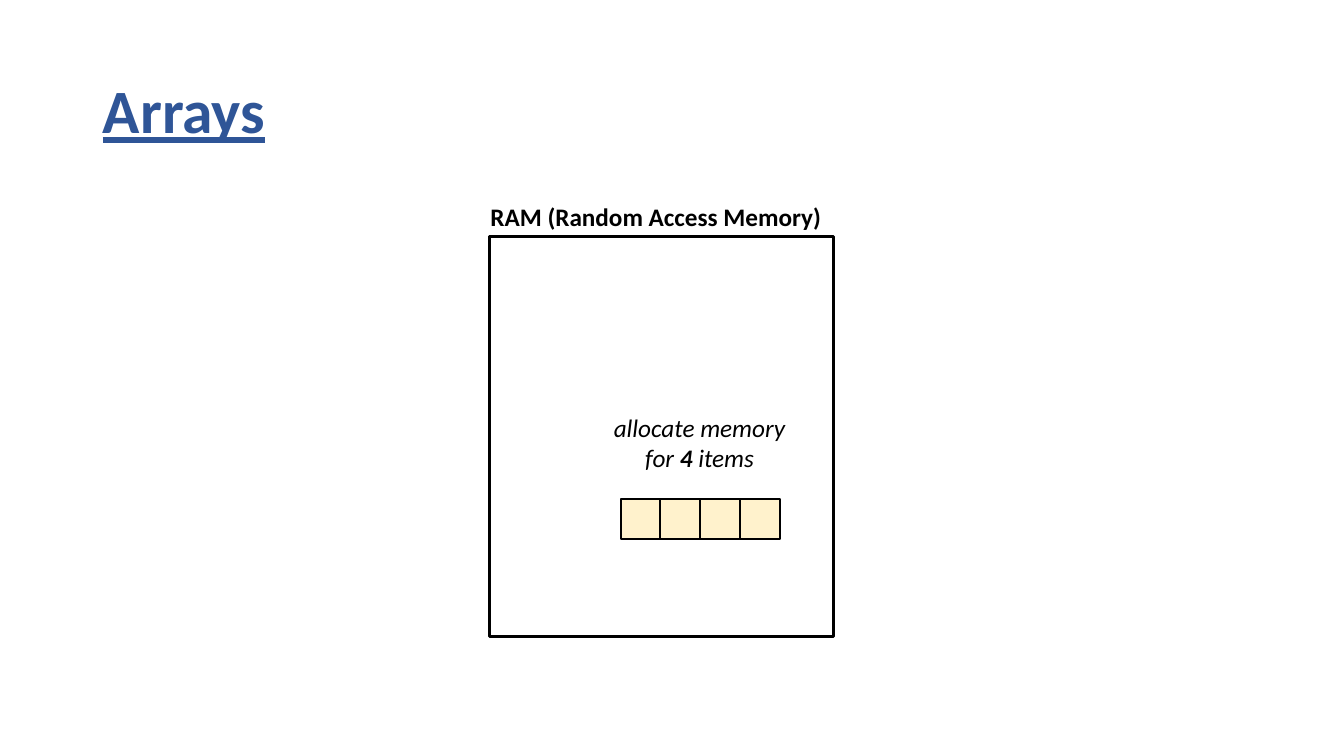
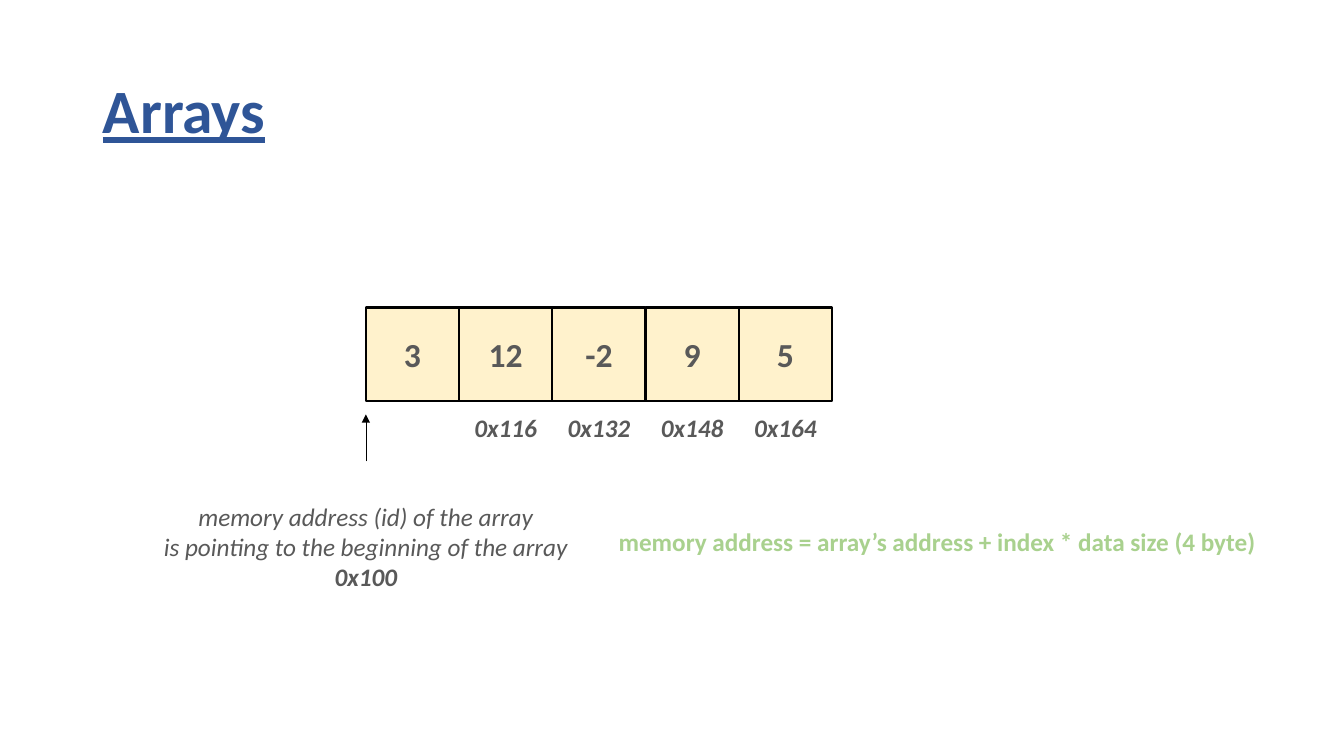
from lxml.etree import SubElement
from pptx import Presentation
from pptx.dml.color import RGBColor
from pptx.enum.shapes import MSO_CONNECTOR as CONN, MSO_SHAPE as SHAPE
from pptx.enum.text import MSO_ANCHOR as ANCHOR, MSO_AUTO_SIZE as FIT, PP_ALIGN as ALIGN
from pptx.oxml.ns import qn
from pptx.util import Cm, Pt

FONT = "Calibri"
BLUE, BLACK, GREY, GREEN, CREAM = "2F5597", "000000", "595959", "A9D18E", "FFF2CC"


def rgb(value):
    """Turn a hex string into a colour."""
    return RGBColor.from_string(value)


def write(tf, text, size=18, color=BLACK, bold=False, italic=False,
          underline=False, align=ALIGN.LEFT, spacing=None):
    """Write lines of text; each | switches bold on or off."""
    for i, line in enumerate(text.split("\n")):
        p = tf.add_paragraph() if i else tf.paragraphs[0]
        p.alignment, p.line_spacing = align, spacing
        for j, part in enumerate(line.split("|")):
            if not part:
                continue
            r = p.add_run()
            r.text = part
            f = r.font
            f.name, f.size, f.color.rgb = FONT, Pt(size), rgb(color)
            f.bold, f.italic, f.underline = bold != bool(j % 2), italic, underline


def add_label(s, x, y, w, h, text, **fmt):
    """Add a text box that does not wrap."""
    tf = s.shapes.add_textbox(Cm(x), Cm(y), Cm(w), Cm(h)).text_frame
    tf.word_wrap, tf.auto_size = False, FIT.SHAPE_TO_FIT_TEXT
    write(tf, text, **fmt)


def add_box(s, x, y, w, h, fill=None, line=1.5):
    """Add a rectangle with a black outline."""
    sp = s.shapes.add_shape(SHAPE.RECTANGLE, Cm(x), Cm(y), Cm(w), Cm(h))
    sp.shadow.inherit = False
    if fill:
        sp.fill.solid()
        sp.fill.fore_color.rgb = rgb(fill)
    else:
        sp.fill.background()
    sp.line.color.rgb, sp.line.width = rgb(BLACK), Pt(line)
    return sp


def add_arrow(s, x1, y1, x2, y2):
    """Add a thin arrow that points at its second end."""
    c = s.shapes.add_connector(CONN.STRAIGHT, Cm(x1), Cm(y1), Cm(x2), Cm(y2))
    c.line.color.rgb, c.line.width = rgb(BLACK), Pt(0.5)
    SubElement(c.line._get_or_add_ln(), qn("a:tailEnd"), type="triangle")
    SubElement(c._element.spPr, qn("a:effectLst"))


def add_cells(s, x, y, size, pitch, values):
    """Add a row of array cells."""
    for i, value in enumerate(values):
        sp = add_box(s, x + i * pitch, y, size, size, CREAM)
        if value:
            tf = sp.text_frame
            tf.vertical_anchor = ANCHOR.MIDDLE
            write(tf, value, size=24, color=GREY, bold=True, align=ALIGN.CENTER)


def add_slide(prs, title):
    """Add a slide with the shared title style."""
    s = prs.slides.add_slide(prs.slide_layouts[5])
    sp = s.shapes.title
    sp.left, sp.top, sp.width, sp.height = Cm(2.34), Cm(1.02), Cm(29.21), Cm(3.68)
    sp.text_frame.vertical_anchor = ANCHOR.MIDDLE
    write(sp.text_frame, title, size=44, color=BLUE, bold=True, underline=True, spacing=0.9)
    return s


def add_memory(s, x, y, w, h):
    """Draw the RAM with four allocated cells."""
    add_box(s, x, y, w, h, line=2.25)
    add_label(s, x - 0.23, y - 1.02, 8.92, 1.02, "RAM (Random Access Memory)", bold=True)
    add_cells(s, x + 3.3, y + 6.6, 1.02, 1, [""] * 4)
    add_label(s, x + 2.85, y + 4.29, 4.88, 1.8, "allocate memory\nfor| 4 |items",
              italic=True, align=ALIGN.CENTER)


def add_array(s, x, y, size, values, addresses):
    """Draw an array, its addresses and the pointer to its start."""
    add_cells(s, x, y, size, size, values)
    for i, address in enumerate(addresses, 1):
        add_label(s, x + i * size, y + 2.51, size, 1.02, address,
                  color=GREY, bold=True, italic=True, align=ALIGN.CENTER)
    add_arrow(s, x, y + 3.88, x, y + 2.69)
    add_label(s, x - 5.41, y + 4.75, 10.82, 2.57,
              "memory address (id) of the array\n"
              "is pointing to the beginning of the array\n|0x100",
              color=GREY, italic=True, align=ALIGN.CENTER)
    add_label(s, x + 6.12, y + 5.38, 16.94, 1.02,
              "memory address = array’s address + index * data size (4 byte)",
              color=GREEN, bold=True)


def main():
    """Build and save the slides."""
    prs = Presentation()
    prs.slide_width, prs.slide_height = Cm(33.87), Cm(19.05)
    add_memory(add_slide(prs, "Arrays"), 12.34, 5.97, 8.66, 10.08)
    add_array(add_slide(prs, "Arrays"), 9.22, 7.75, 2.35, ["3", "12", "-2", "9", "5"],
              ["0x116", "0x132", "0x148", "0x164"])
    prs.save("out.pptx")


main()
